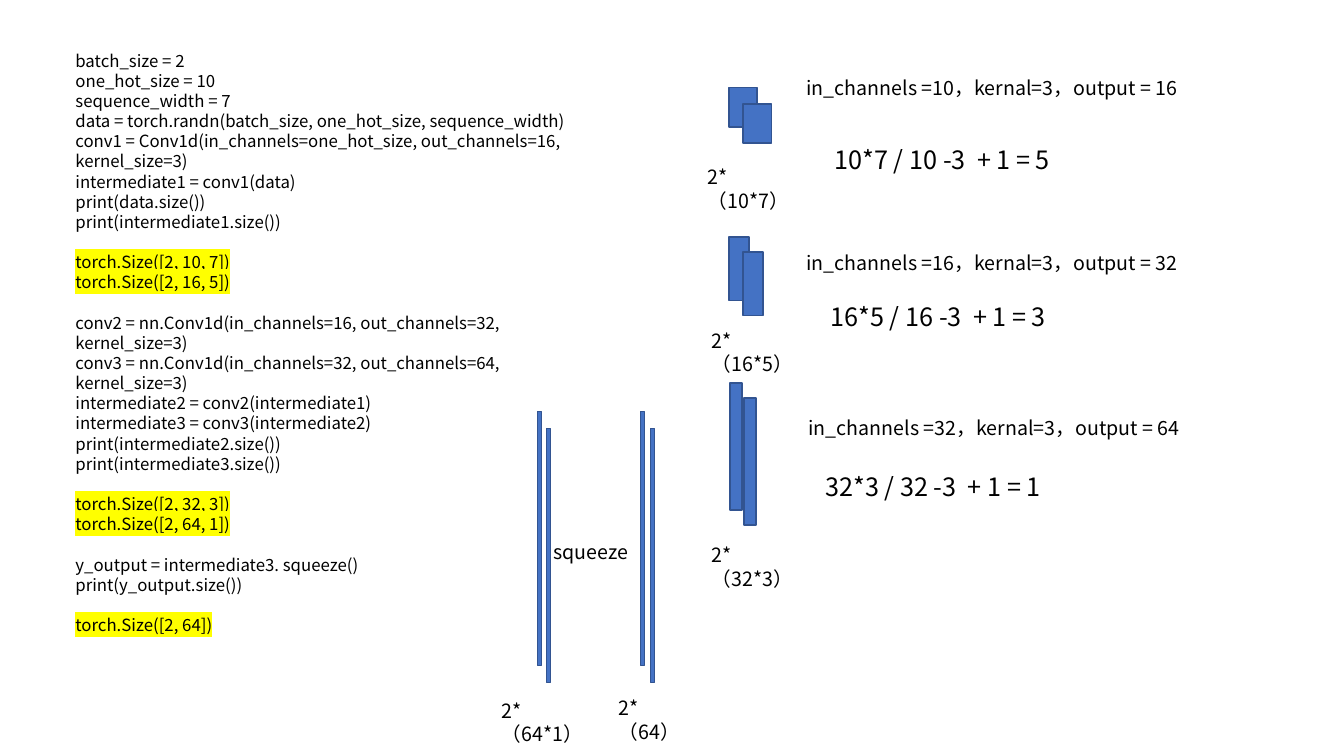
from lxml import etree
from pptx import Presentation
from pptx.dml.color import RGBColor
from pptx.enum.shapes import MSO_SHAPE
from pptx.enum.text import MSO_ANCHOR
from pptx.oxml.ns import qn
from pptx.util import Emu, Pt

RECTANGLE = MSO_SHAPE.RECTANGLE
TOP = MSO_ANCHOR.TOP
EMU_PER_PX = 9144
BLANK_LAYOUT = 6

CODE_BLOCKS = [
    (False, [
        "batch_size = 2",
        "one_hot_size = 10",
        "sequence_width = 7",
        "data = torch.randn(batch_size, one_hot_size, sequence_width)",
        "conv1 = Conv1d(in_channels=one_hot_size, out_channels=16,",
        "kernel_size=3)",
        "intermediate1 = conv1(data)",
        "print(data.size())",
        "print(intermediate1.size())",
    ]),
    (True, ["torch.Size([2, 10, 7])", "torch.Size([2, 16, 5])"]),
    (False, [
        "conv2 = nn.Conv1d(in_channels=16, out_channels=32, kernel_size=3)",
        "conv3 = nn.Conv1d(in_channels=32, out_channels=64, kernel_size=3)",
        "intermediate2 = conv2(intermediate1)",
        "intermediate3 = conv3(intermediate2)",
        "print(intermediate2.size())",
        "print(intermediate3.size())",
    ]),
    (True, ["torch.Size([2, 32, 3])", "torch.Size([2, 64, 1])"]),
    (False, ["y_output = intermediate3. squeeze()", "print(y_output.size())"]),
    (True, ["torch.Size([2, 64])"]),
]

TENSOR_PAIRS = [
    (723, 87, 28, 39, 14, 16),
    (723, 235, 20, 63, 14, 15),
    (724, 380, 12, 126, 14, 15),
    (533, 408, 4, 252, 9, 17),
    (635, 408, 4, 252, 10, 17),
]

SHAPE_LABELS = [
    (692, 159, 117, "2*（10*7）"),
    (696, 321, 117, "2*（16*5）"),
    (696, 534, 117, "2*（32*3）"),
    (488, 688, 117, "2*（64*1）"),
    (604, 686, 99, "2*（64）"),
]

LAYER_SETTINGS = [
    (790, 70, "in_channels =10，kernal=3，output = 16"),
    (790, 244, "in_channels =16，kernal=3，output = 32"),
    (792, 408, "in_channels =32，kernal=3，output = 64"),
]

WIDTH_FORMULAS = [
    (818, 138, "10*7 / 10 -3  + 1 = 5"),
    (814, 294, "16*5 / 16 -3  + 1 = 3"),
    (809, 463, "32*3 / 32 -3  + 1 = 1"),
]


def px(length):
    return Emu(length * EMU_PER_PX)


def colour(value):
    return RGBColor.from_string(value)


class SlideBuilder:
    font = "Noto Sans CJK SC"
    ink = "000000"
    fill = "4472C4"
    outline = "325491"
    marker = "FFFF00"

    def __init__(self, slide):
        self.slide = slide

    def frame(self, x, y, width, height):
        frame = self.slide.shapes.add_textbox(
            px(x), px(y), px(width), px(height)).text_frame
        frame.word_wrap = True
        frame.vertical_anchor = TOP
        return frame

    def line_of_text(self, paragraph, wording, size):
        run = paragraph.add_run()
        run.text = wording
        paragraph.font.size = Pt(size)
        paragraph.font.name = self.font
        paragraph.font.color.rgb = colour(self.ink)
        return run

    def highlight(self, run):
        properties = run._r.get_or_add_rPr()
        highlight = etree.SubElement(properties, qn("a:highlight"))
        etree.SubElement(highlight, qn("a:srgbClr"), val=self.marker)

    def text(self, x, y, width, height, wording, size):
        frame = self.frame(x, y, width, height)
        self.line_of_text(frame.paragraphs[0], wording, size)

    def code(self, x, y, width, height, blocks, size, gap):
        frame = self.frame(x, y, width, height)
        paragraph = frame.paragraphs[0]
        for block_index, (is_output, lines) in enumerate(blocks):
            for line_index, line in enumerate(lines):
                if block_index or line_index:
                    paragraph = frame.add_paragraph()
                if block_index and not line_index:
                    paragraph.space_before = Pt(gap)
                run = self.line_of_text(paragraph, line, size)
                if is_output:
                    self.highlight(run)

    def bar(self, x, y, width, height):
        bar = self.slide.shapes.add_shape(
            RECTANGLE, px(x), px(y), px(width), px(height))
        bar.shadow.inherit = False
        bar.fill.solid()
        bar.fill.fore_color.rgb = colour(self.fill)
        bar.line.color.rgb = colour(self.outline)
        bar.line.width = Pt(1)

    def tensor_pair(self, x, y, width, height, shift_x, shift_y):
        for step in range(2):
            self.bar(x + step * shift_x, y + step * shift_y, width, height)


def main():
    presentation = Presentation()
    presentation.slide_width = px(1333)
    presentation.slide_height = px(750)
    layout = presentation.slide_layouts[BLANK_LAYOUT]
    builder = SlideBuilder(presentation.slides.add_slide(layout))

    builder.code(65, 45, 513, 565, CODE_BLOCKS, size=12, gap=14.4)
    for pair in TENSOR_PAIRS:
        builder.tensor_pair(*pair)
    for x, y, width, label in SHAPE_LABELS:
        builder.text(x, y, width, 34, label, 14)
    for x, y, setting in LAYER_SETTINGS:
        builder.text(x, y, 407, 34, setting, 14)
    for x, y, formula in WIDTH_FORMULAS:
        builder.text(x, y, 254, 40, formula, 18)
    builder.text(539, 531, 97, 34, "squeeze", 14)

    presentation.save("out.pptx")


if __name__ == "__main__":
    main()
